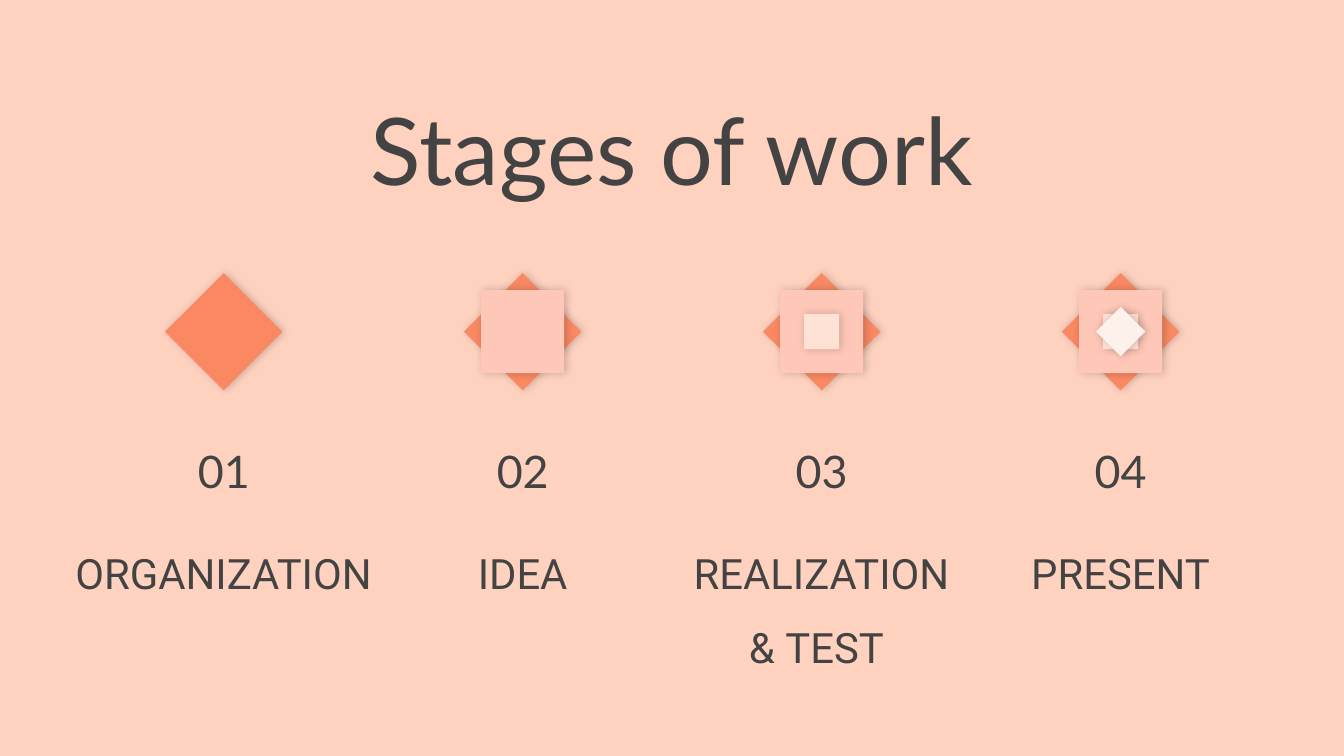
from dataclasses import dataclass

from lxml import etree
from pptx import Presentation
from pptx import util as u
from pptx.dml.color import RGBColor
from pptx.enum import shapes, text
from pptx.oxml import ns

BACKGROUND = RGBColor(0xFF, 0xD2, 0xC0)
INK = RGBColor(0x43, 0x43, 0x43)
CORAL = RGBColor(0xF9, 0x88, 0x63)
PINK = RGBColor(0xFF, 0xC7, 0xB7)
PEACH = RGBColor(0xFF, 0xE2, 0xD6)
CREAM = RGBColor(0xFD, 0xF1, 0xEC)

FIRST_CENTRE, PITCH = 4.23, 5.65
EMBLEM_CENTRE = 6.27
NUMBER_WIDTH = 4.24
SHADOW_BLUR, SHADOW_OFFSET = u.Pt(4.5), u.Pt(0.8)


@dataclass(frozen=True)
class Layer:
    side: float
    colour: RGBColor
    rotation: int


@dataclass(frozen=True)
class Stage:
    label: list[str]
    label_width: float
    space_after: int = 16


# Each stage adds one more layer to the emblem
LAYERS = [
    Layer(1.57, CORAL, 315),
    Layer(1.57, PINK, 0),
    Layer(0.66, PEACH, 0),
    Layer(0.66, CREAM, 45),
]
STAGES = [
    Stage(["organization"], 8.13),
    Stage(["idea"], 4.24),
    Stage(["realization", "& test "], 11.18, 1),
    Stage(["present"], 4.24),
]


def add_text(slide, lines: list[str], centre: float, top: float, width: float,
             height: float, font: str, size: int, inset: float = 0.25,
             anchor=text.MSO_ANCHOR.TOP):
    """Add a centred text box and return its frame."""
    box = slide.shapes.add_textbox(u.Cm(centre - width / 2), u.Cm(top),
                                   u.Cm(width), u.Cm(height))
    frame = box.text_frame
    frame.word_wrap = True
    frame.vertical_anchor = anchor
    frame.margin_left = frame.margin_right = u.Cm(inset)
    frame.margin_top = frame.margin_bottom = u.Cm(inset)
    frame.text = "\n".join(lines)
    for paragraph in frame.paragraphs:
        paragraph.alignment = text.PP_ALIGN.CENTER
        paragraph.font.name = font
        paragraph.font.size = u.Pt(size)
        paragraph.font.color.rgb = INK
    return frame


def add_soft_shadow(square) -> None:
    square.shadow.inherit = False
    effects = square.element.spPr.find(ns.qn("a:effectLst"))
    shadow = etree.SubElement(effects, ns.qn("a:outerShdw"), blurRad=str(SHADOW_BLUR),
                              dist=str(SHADOW_OFFSET), dir="0", algn="bl",
                              rotWithShape="0")
    black = etree.SubElement(shadow, ns.qn("a:srgbClr"), val="000000")
    etree.SubElement(black, ns.qn("a:alpha"), val="20000")


def add_emblem(slide, centre: float, layers: list[Layer]) -> None:
    parent = slide.shapes
    if len(layers) > 1:
        parent = parent.add_group_shape().shapes
    for layer in layers:
        square = parent.add_shape(
            shapes.MSO_SHAPE.RECTANGLE,
            u.Cm(centre - layer.side / 2), u.Cm(EMBLEM_CENTRE - layer.side / 2),
            u.Cm(layer.side), u.Cm(layer.side))
        square.rotation = layer.rotation
        square.fill.solid()
        square.fill.fore_color.rgb = layer.colour
        square.line.fill.background()
        add_soft_shadow(square)


def add_stage(slide, index: int, stage: Stage) -> None:
    centre = FIRST_CENTRE + index * PITCH
    add_text(slide, [f"{index + 1:02}"], centre, 8.33, NUMBER_WIDTH, 1.12,
             "Lato", 24, inset=0, anchor=text.MSO_ANCHOR.MIDDLE)
    label = add_text(slide, stage.label, centre, 9.73, stage.label_width, 1.6,
                     "Roboto", 28)
    for paragraph in label.paragraphs:
        paragraph.line_spacing = 1.15
        paragraph.space_after = u.Pt(stage.space_after)
        for run in paragraph.runs:
            run.font._element.set("cap", "small")
    add_emblem(slide, centre, LAYERS[:index + 1])


def main() -> None:
    deck = Presentation()
    deck.slide_width, deck.slide_height = u.Cm(25.4), u.Cm(14.29)
    slide = deck.slides.add_slide(deck.slide_layouts[6])
    slide.background.fill.solid()
    slide.background.fill.fore_color.rgb = BACKGROUND

    # Title
    add_text(slide, ["Stages of work"], 12.7, 1.5, 21.41, 1.32, "Lato", 50)

    # Stages
    for index, stage in enumerate(STAGES):
        add_stage(slide, index, stage)

    deck.save("out.pptx")


if __name__ == "__main__":
    main()
